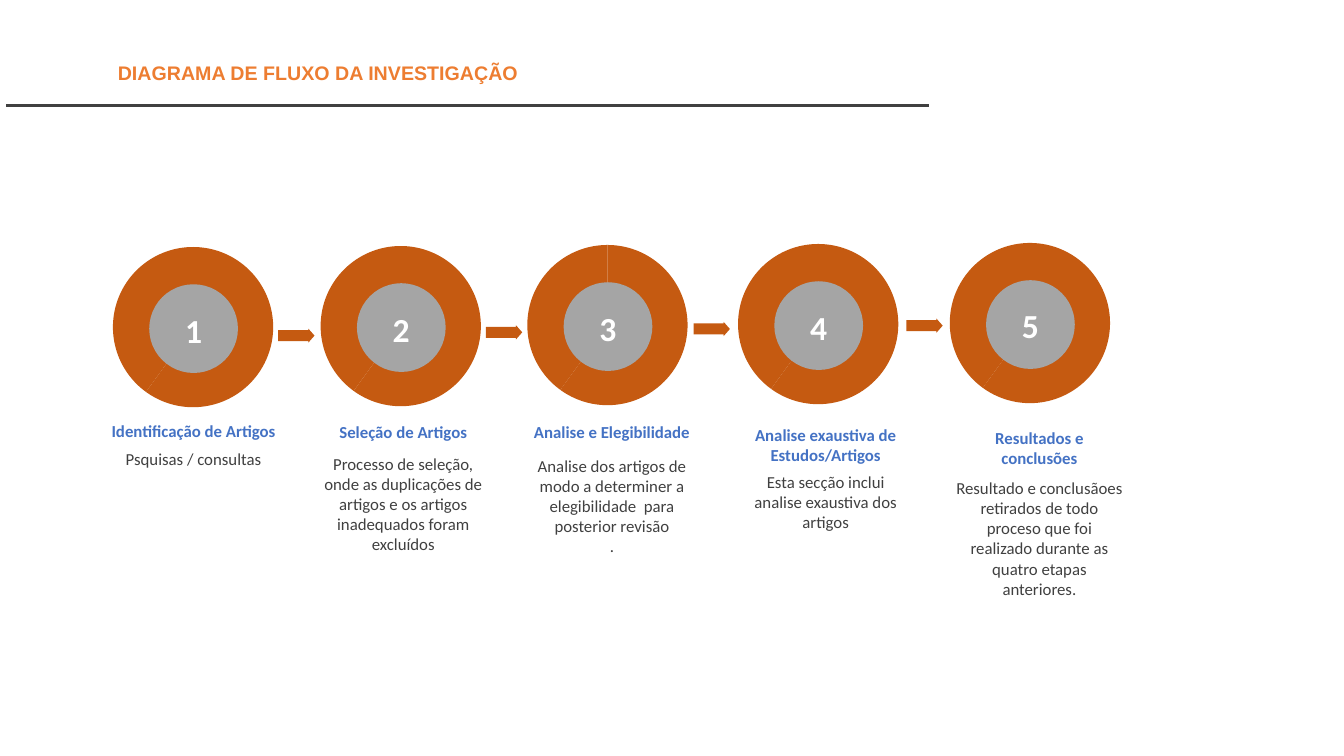
"""Build the research flow diagram slide: five numbered rings joined by arrows."""
from pptx import Presentation
from pptx import util as u
from pptx.chart import data
from pptx.dml.color import RGBColor
from pptx.enum import chart as ch, shapes, text
from pptx.oxml import parse_xml
from pptx.oxml.ns import nsdecls, qn

COLORS = {"title": "ED7D31", "rule": "404040", "ring": "C55A11", "disc": "A5A5A5",
          "number": "FFFFFF", "heading": "4472C4", "body": "404040"}
STEPS = [
    (11.2, 9.9, 41.2, 3, 44, 3, "Identificação de Artigos", ["Psquisas / consultas"]),
    (31.8, 30.7, 41.3, 3, 44.5, 11.1, "Seleção de Artigos",
     ["Processo de seleção, onde as duplicações de artigos e os artigos inadequados "
      "foram excluídos"]),
    (52.3, 51.4, 41.3, 3, 44.7, 11.1, "Analise e Elegibilidade",
     ["Analise dos artigos de modo a determiner a elegibilidade  para posterior revisão",
      "."]),
    (73.2, 72.6, 41.6, 5, 46.3, 7.1, "Analise exaustiva de Estudos/Artigos",
     ["Esta secção inclui analise exaustiva dos artigos"]),
    (94.2, 93.8, 41.9, 5, 46.9, 13.1, "Resultados e conclusões",
     ["Resultado e conclusãoes retirados de todo proceso que foi realizado durante as "
      "quatro etapas anteriores."]),
]
ARROWS = [27.6, 48.2, 68.8, 89.9]
RING_W, RING_H, DISC = 15.9, 16.5, 8.8
NUMBER_W, NUMBER_H, LABEL_W = 9, 5, 18.6

prs = Presentation()
prs.slide_width, prs.slide_height = u.Inches(13.33), u.Inches(7.5)
cell = prs.slide_height / 75
s = prs.slides.add_slide(prs.slide_layouts[6])


def grid(*cells):
    return [u.Emu(round(c * cell)) for c in cells]


def write(box, lines, color, align=text.PP_ALIGN.CENTER, anchor=text.MSO_ANCHOR.TOP,
          fit=text.MSO_AUTO_SIZE.SHAPE_TO_FIT_TEXT, **font):
    tf = s.shapes.add_textbox(*grid(*box)).text_frame
    for name, value in {"word_wrap": True, "auto_size": fit, "vertical_anchor": anchor}.items():
        setattr(tf, name, value)
    for i, line in enumerate(lines):
        p = tf.add_paragraph() if i else tf.paragraphs[0]
        p.alignment = align
        r = p.add_run()
        r.text = line
        r.font.color.rgb = RGBColor.from_string(COLORS[color])
        for name, value in {"name": "Calibri", "size": u.Pt(12), **font}.items():
            setattr(r.font, name, value)


write((10.7, 4.6, 53.6, 5.3), ["DIAGRAMA DE FLUXO DA INVESTIGAÇÃO"], "title",
      align=text.PP_ALIGN.LEFT, anchor=text.MSO_ANCHOR.MIDDLE,
      fit=text.MSO_AUTO_SIZE.NONE, name="Arial", size=u.Pt(14), bold=True)

rule = s.shapes.add_connector(shapes.MSO_CONNECTOR.STRAIGHT, *grid(0.6, 10.5, 92.1, 10.5))
rule.line.color.rgb = RGBColor.from_string(COLORS["rule"])
rule.line.width = u.Pt(2.25)
rule.element.spPr.append(parse_xml(f"<a:effectLst {nsdecls('a')}/>"))

for i, (x, label_x, head_y, head_h, body_y, body_h, heading, body) in enumerate(STEPS):
    y = 24.5 - 0.1 * i
    cd = data.CategoryChartData()
    cd.categories = ["1", "2"]
    cd.add_series("Series 1", [60, 40])
    chart = s.shapes.add_chart(ch.XL_CHART_TYPE.DOUGHNUT,
                               *grid(x, y, RING_W, RING_H), cd).chart
    chart.has_legend = chart.has_title = False
    chart.font.name, chart.font.size = "Calibri", u.Pt(18)
    chart.font.color.rgb = RGBColor(0, 0, 0)
    for k in range(2):
        fill = chart.plots[0].series[0].points[k].format.fill
        fill.solid()
        fill.fore_color.rgb = RGBColor.from_string(COLORS["ring"])
    area = chart.element.xpath(".//c:plotArea")[0]
    for old in area.findall(qn("c:layout")):
        area.remove(old)
    area.insert(0, parse_xml(
        f'<c:layout {nsdecls("c")}><c:manualLayout><c:layoutTarget val="inner"/>'
        '<c:xMode val="edge"/><c:yMode val="edge"/><c:x val="0"/><c:y val="0"/>'
        '<c:w val="1"/><c:h val="0.965"/></c:manualLayout></c:layout>'))
    area.xpath(".//c:holeSize")[0].set("val", "75")

    sp = s.shapes.add_shape(shapes.MSO_SHAPE.OVAL, *grid(x + 3.6, y + 3.7, DISC, DISC))
    sp.shadow.inherit = False
    sp.fill.solid()
    sp.fill.fore_color.rgb = RGBColor.from_string(COLORS["disc"])
    sp.line.fill.background()
    write((x + 3.5, y + 5.7, NUMBER_W, NUMBER_H), [str(i + 1)], "number",
          anchor=text.MSO_ANCHOR.MIDDLE, size=u.Pt(24), bold=True)

    write((label_x, body_y, LABEL_W, body_h), body, "body")
    write((label_x, head_y, LABEL_W, head_h), [heading], "heading", bold=True)

for i, x in enumerate(ARROWS):
    sp = s.shapes.add_shape(shapes.MSO_SHAPE.RIGHT_ARROW, *grid(x, 32.6 - 0.33 * i, 3.6, 1.4))
    sp.adjustments[0], sp.adjustments[1] = 0.78, 0.44
    sp.shadow.inherit = False
    sp.fill.solid()
    sp.fill.fore_color.rgb = RGBColor.from_string(COLORS["ring"])
    sp.line.fill.background()

prs.save("out.pptx")
